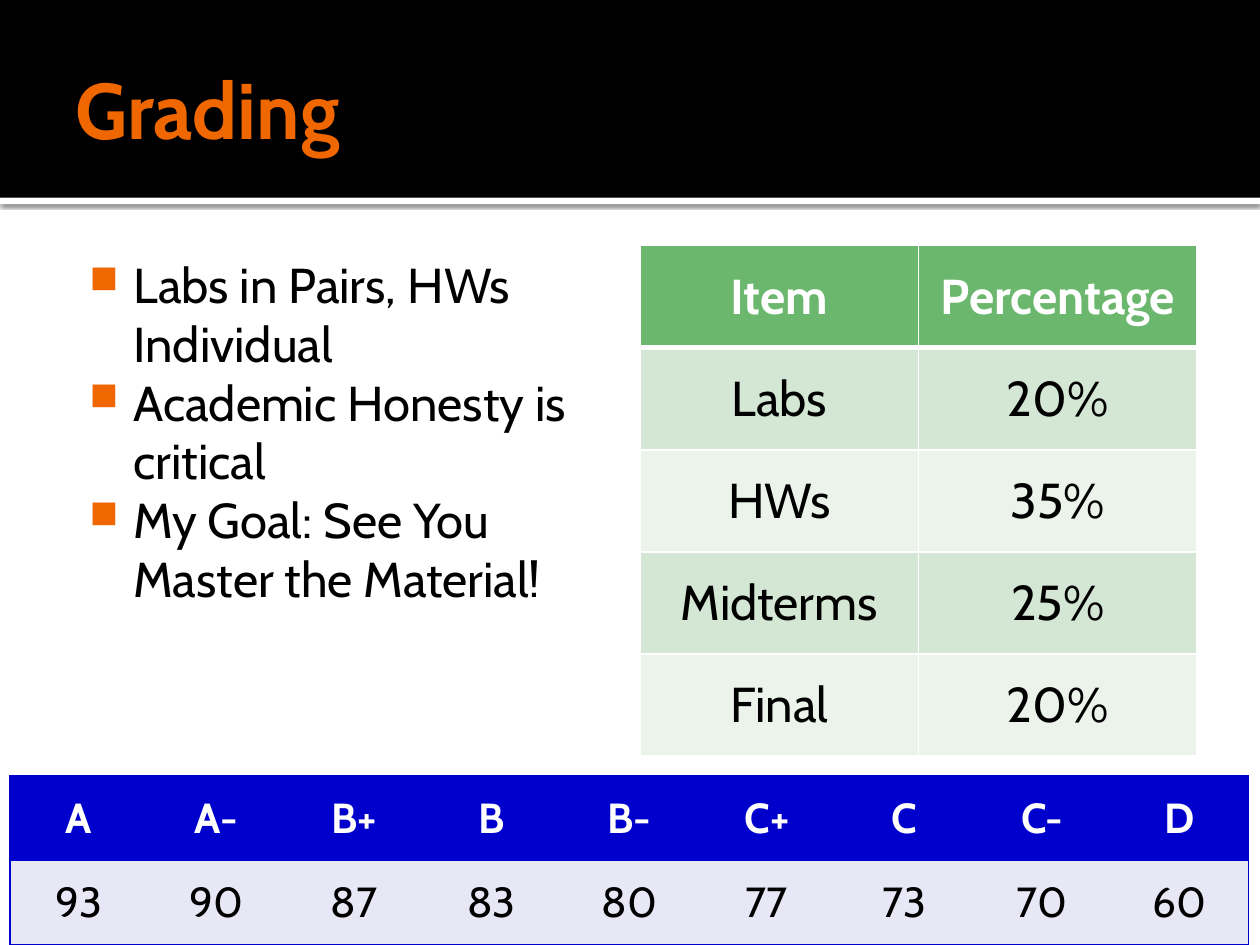
from lxml import etree
from pptx import Presentation
from pptx import util as u
from pptx.dml.color import RGBColor
from pptx.enum import shapes, text
from pptx.oxml import ns

WIDE, HIGH = 10, 7.5
FONT = "Cabin"
BLACK = RGBColor(0, 0, 0)
WHITE = RGBColor(255, 255, 255)
ORANGE = RGBColor(0xF0, 0x67, 0x00)
GREEN = RGBColor(0x6B, 0xB7, 0x6D)
MINT = RGBColor(0xD4, 0xE6, 0xD4)
PALE = RGBColor(0xEB, 0xF3, 0xEB)
BLUE = RGBColor(0, 0, 0xCC)
LILAC = RGBColor(0xE7, 0xE7, 0xF6)

GOALS = ["Labs in Pairs, HWs Individual", "Academic Honesty is critical",
         "My Goal: See You Master the Material!"]
WEIGHTS = [("Item", "Percentage"), ("Labs", "20%"), ("HWs", "35%"),
           ("Midterms", "25%"), ("Final", "20%")]
CUTS = [("A", "A-", "B+", "B", "B-", "C+", "C", "C-", "D"),
        ("93", "90", "87", "83", "80", "77", "73", "70", "60")]


def place(x, y, w, h):
    return [u.Inches(v) for v in (x, y, w, h)]


def node(root, tag, **attrs):
    """Append a DrawingML element."""
    return etree.SubElement(root, ns.qn("a:" + tag), attrs)


def tint(root, color):
    return node(root, "srgbClr", val=str(color))


def add_run(para, words, size, color, bold=False):
    run = para.add_run()
    run.text = words
    font = run.font
    font.name, font.size, font.bold = FONT, u.Pt(size), bold
    font.color.rgb = color


def add_bar(slide, y, h, color):
    bar = slide.shapes.add_shape(shapes.MSO_SHAPE.RECTANGLE,
                                 *place(0, y, WIDE, h))
    bar.shadow.inherit = False
    bar.fill.solid()
    bar.fill.fore_color.rgb = color
    bar.line.fill.background()
    return bar


def cast(bar):
    """Give a bar a soft shadow below it."""
    fx = bar._element.spPr.find(ns.qn("a:effectLst"))
    soft = node(fx, "outerShdw", blurRad=str(u.Pt(2.5)), dist=str(u.Pt(0.8)),
                dir="5400000", algn="tl", rotWithShape="0")
    node(tint(soft, BLACK), "alpha", val="60000")


def add_text(slide, box, pads, anchor):
    frame = slide.shapes.add_textbox(*place(*box)).text_frame
    frame.word_wrap = True
    frame.vertical_anchor = anchor
    (frame.margin_left, frame.margin_top,
     frame.margin_right, frame.margin_bottom) = place(*pads)
    return frame


def add_list(frame, items):
    for i, item in enumerate(items):
        para = frame.add_paragraph() if i else frame.paragraphs[0]
        props = para._p.get_or_add_pPr()
        props.set("marL", str(u.Inches(0.48)))
        props.set("indent", str(u.Inches(-0.35)))
        tint(node(props, "buClr"), ORANGE)
        node(props, "buSzPct", val="80000")
        node(props, "buChar", char="■")
        add_run(para, item, 28, BLACK)


def edge(cell, side, color, width):
    """Draw one cell border; no colour means none."""
    line = node(cell._tc.get_or_add_tcPr(), "ln" + side, w=str(u.Pt(width)))
    if color is None:
        node(line, "noFill")
    else:
        tint(node(line, "solidFill"), color)


def add_grid(slide, box, rows, size, pads, fills, rule):
    """rule(row, col) gives (side, colour, width) for sides L, R, T, B."""
    table = slide.shapes.add_table(len(rows), len(rows[0]),
                                   *place(*box)).table
    table.horz_banding = False
    for col in table.columns:
        col.width = u.Inches(box[2] / len(rows[0]))
    for r, row in enumerate(rows):
        table.rows[r].height = u.Inches(box[3] / len(rows))
        for c, words in enumerate(row):
            cell = table.cell(r, c)
            for side in rule(r, c):
                edge(cell, *side)
            cell.fill.solid()
            cell.fill.fore_color.rgb = fills[r]
            cell.vertical_anchor = text.MSO_ANCHOR.MIDDLE
            cell.margin_left = cell.margin_right = u.Inches(pads[0])
            cell.margin_top = cell.margin_bottom = u.Inches(pads[1])
            para = cell.text_frame.paragraphs[0]
            para.alignment = text.PP_ALIGN.CENTER
            add_run(para, words, size, BLACK if r else WHITE, bold=r == 0)


def white_rule(r, c):
    return [("L", WHITE, 1), ("R", WHITE, 1),
            ("T", WHITE, 3 if r == 1 else 1),
            ("B", WHITE, 3 if r == 0 else 1)]


def blue_rule(r, c):
    last = len(CUTS[0]) - 1
    return [("L", BLUE if c == 0 else None, 1),
            ("R", BLUE if c == last else None, 1),
            ("T", BLUE, 1), ("B", BLUE, 1)]


def main():
    deck = Presentation()
    deck.slide_width, deck.slide_height = u.Inches(WIDE), u.Inches(HIGH)
    slide = deck.slides.add_slide(deck.slide_layouts[6])

    # Title band
    cast(add_bar(slide, 1.57, 0.05, WHITE))
    add_bar(slide, 0, 1.57, BLACK)
    title = add_text(slide, (0.5, 0.17, 9, 1.37), (0.1, 0.05, 0.05, 0.05),
                     text.MSO_ANCHOR.MIDDLE)
    add_run(title.paragraphs[0], "Grading", 45, ORANGE, bold=True)

    # Share of each item
    add_grid(slide, (5.08, 1.95, 4.42, 4.05), WEIGHTS, 28, (0.05, 0.05),
             [GREEN, MINT, PALE, MINT, PALE], white_rule)

    # Course goals
    goals = add_text(slide, (0.52, 1.92, 4.42, 5.06), (0.06, 0.1, 0.1, 0.05),
                     text.MSO_ANCHOR.TOP)
    add_list(goals, GOALS)

    # Letter grade cut-offs
    add_grid(slide, (0.08, 6.16, 9.83, 1.34), CUTS, 24, (0.07, 0),
             [BLUE, LILAC], blue_rule)

    deck.save("out.pptx")


if __name__ == "__main__":
    main()
